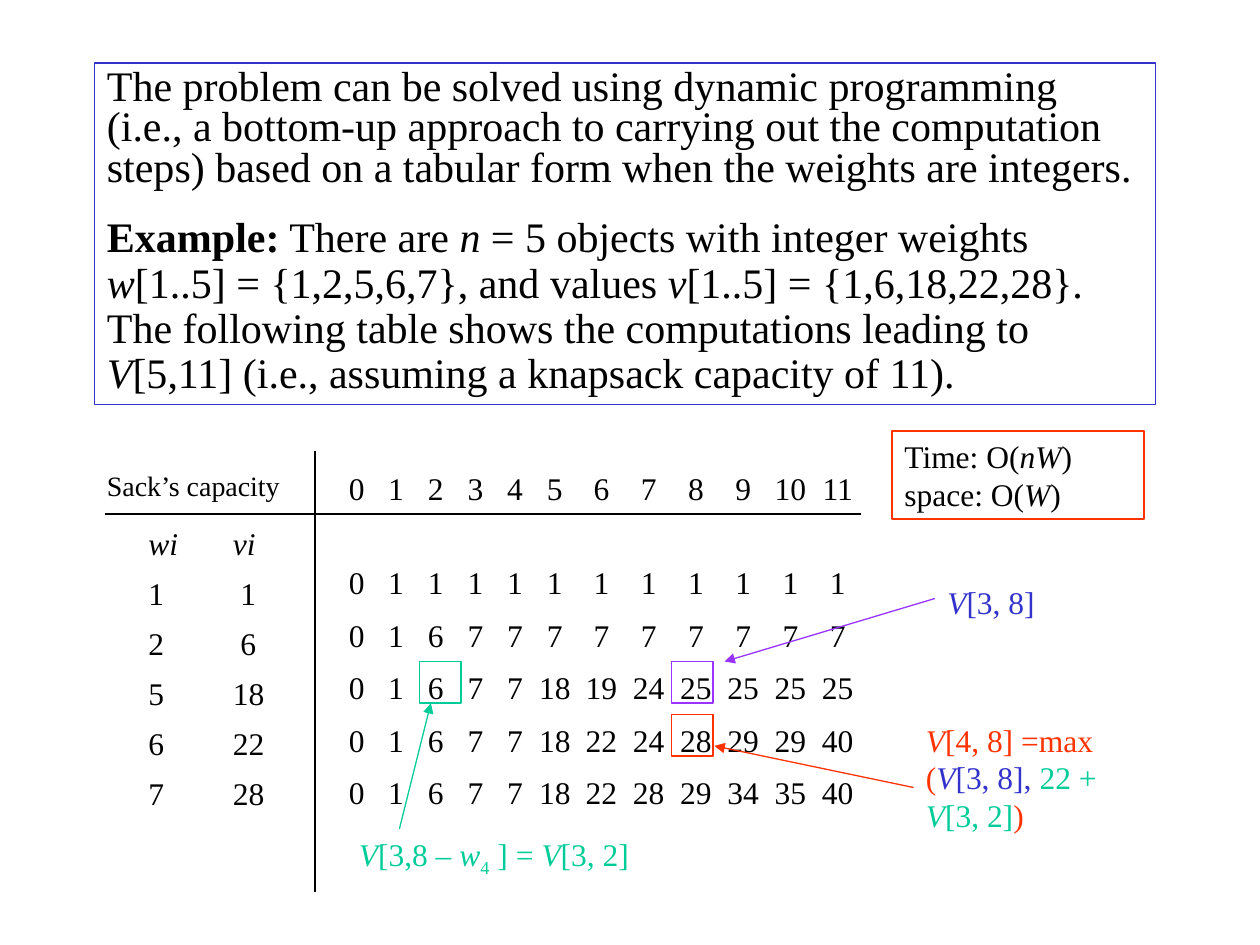
from dataclasses import dataclass
from typing import NamedTuple

import lxml.etree
import pptx
import pptx.dml.color
import pptx.enum.shapes
import pptx.enum.text
import pptx.oxml.ns
import pptx.util

Inches = pptx.util.Inches
qn = pptx.oxml.ns.qn


@dataclass(frozen=True)
class Theme:
    font: str = "Times New Roman"
    black: str = "000000"
    blue: str = "3333CC"
    red: str = "FF3300"
    purple: str = "9933FF"
    green: str = "00CC99"
    intro: float = 24
    body: float = 18
    label: float = 16
    line: float = 0.75


class Run(NamedTuple):
    text: str
    color: str = ""
    italic: bool = False
    bold: bool = False
    subscript: bool = False


class Paragraph(NamedTuple):
    runs: list[Run]
    spacing: float = 1.0
    indent: float = 0


class Box(NamedTuple):
    left: float
    top: float
    width: float
    height: float


class Line(NamedTuple):
    start: tuple[float, float]
    end: tuple[float, float]
    color: str
    arrow: bool = False


THEME = Theme()


def rgb(color: str):
    return pptx.dml.color.RGBColor.from_string(color)


def italic(text: str, color: str = "") -> Run:
    return Run(text, color, italic=True)


def write_text(shape, paragraphs: list[Paragraph], *, size: float = THEME.body,
               color: str = THEME.black, before: float = 11.2, stops: tuple = ()) -> None:
    frame = shape.text_frame
    frame.word_wrap = True
    frame.auto_size = pptx.enum.text.MSO_AUTO_SIZE.SHAPE_TO_FIT_TEXT
    frame.vertical_anchor = pptx.enum.text.MSO_ANCHOR.TOP
    for index, content in enumerate(paragraphs):
        paragraph = frame.add_paragraph() if index else frame.paragraphs[0]
        paragraph.alignment = pptx.enum.text.PP_ALIGN.LEFT
        paragraph.line_spacing = content.spacing
        paragraph.space_before = pptx.util.Pt(before)
        properties = paragraph._p.get_or_add_pPr()
        if content.indent:
            properties.set("marL", str(Inches(content.indent)))
        if stops:
            tabs = lxml.etree.SubElement(properties, qn("a:tabLst"))
            for stop in stops:
                lxml.etree.SubElement(tabs, qn("a:tab"), pos=str(Inches(stop)), algn="ctr")
        for part in content.runs:
            run = paragraph.add_run()
            run.text = part.text
            run.font.name = THEME.font
            run.font.size = pptx.util.Pt(size)
            run.font.bold = part.bold
            run.font.italic = part.italic
            run.font.color.rgb = rgb(part.color or color)
            if part.subscript:
                run._r.get_or_add_rPr().set("baseline", "-25000")


def add_text(slide, box: Box, paragraphs: list[Paragraph], **text_format) -> None:
    label = slide.shapes.add_textbox(*map(Inches, box))
    write_text(label, paragraphs, **text_format)


def add_frame(slide, box: Box, color: str):
    frame = slide.shapes.add_shape(pptx.enum.shapes.MSO_SHAPE.RECTANGLE, *map(Inches, box))
    frame.shadow.inherit = False
    frame.fill.background()
    frame.line.color.rgb = rgb(color)
    frame.line.width = pptx.util.Pt(THEME.line)
    return frame


def add_line(slide, line: Line) -> None:
    connector = slide.shapes.add_connector(
        pptx.enum.shapes.MSO_CONNECTOR.STRAIGHT, *map(Inches, line.start + line.end))
    connector.line.color.rgb = rgb(line.color)
    connector.line.width = pptx.util.Pt(THEME.line)
    if line.arrow:
        lxml.etree.SubElement(connector.line._get_or_add_ln(), qn("a:tailEnd"), type="triangle")
    lxml.etree.SubElement(connector._element.spPr, qn("a:effectLst"))


INTRO = [
    Paragraph([Run("The problem can be solved using dynamic programming (i.e., a bottom-up "
                   "approach to carrying out the computation steps) based on a tabular form "
                   "when the weights are integers.")], 0.8),
    Paragraph([
        Run("Example:", bold=True), Run(" There are "), italic("n"),
        Run(" = 5 objects with integer weights "), italic("w"),
        Run("[1..5] = {1,2,5,6,7}, and values "), italic("v"),
        Run("[1..5] = {1,6,18,22,28}. The following table shows the computations leading to "),
        italic("V"), Run("[5,11] (i.e., assuming a knapsack capacity of 11).")], 0.9),
]
COMPLEXITY = [Paragraph([Run("Time: O("), italic("nW"), Run(") space: O("),
                         italic("W"), Run(")")])]
OBJECTS = {
    "wi": (1.08, 0.5, (1, 2, 5, 6, 7)),
    "vi": (1.75, 0.58, (1, 6, 18, 22, 28)),
}
CAPACITIES = tuple(range(12))
VALUES = [
    (0,) + (1,) * 11,
    (0, 1, 6) + (7,) * 9,
    (0, 1, 6, 7, 7, 18, 19, 24, 25, 25, 25, 25),
    (0, 1, 6, 7, 7, 18, 22, 24, 28, 29, 29, 40),
    (0, 1, 6, 7, 7, 18, 22, 28, 29, 34, 35, 40),
]
ROW_STEP = 5 / 12
COLUMN_STOPS = tuple(0.06 + 0.315 * k if k <= 5 else 1.63 + 0.375 * (k - 5)
                     for k in CAPACITIES[1:])
HIGHLIGHTS = [
    (5.33, 5.67, THEME.red),
    (5.33, 5.25, THEME.purple),
    (3.33, 5.25, THEME.green),
]
LINES = [
    Line((0.83, 4.08), (6.83, 4.08), THEME.black),
    Line((2.5, 3.58), (2.5, 7.08), THEME.black),
    Line((3.17, 6.58), (3.42, 5.58), THEME.green, True),
    Line((7.42, 4.75), (5.75, 5.25), THEME.purple, True),
    Line((7.25, 6.25), (5.67, 5.92), THEME.red, True),
]
CALLOUTS = [
    (Box(2.75, 6.58, 2.5, 0.44), THEME.green,
     [italic("V"), Run("[3,8 – "), italic("w"), Run("4", subscript=True),
      Run(" ] = "), italic("V"), Run("[3, 2]")]),
    (Box(7.42, 4.58, 1.83, 0.4), THEME.blue, [italic("V"), Run("[3, 8]")]),
    (Box(7.25, 5.67, 2, 1), THEME.red,
     [italic("V"), Run("[4, 8] =max ("), italic("V", THEME.blue),
      Run("[3, 8], ", THEME.blue), Run("22 + ", THEME.green),
      italic("V", THEME.green), Run("[3, 2]", THEME.green), Run(")")]),
]


def main() -> None:
    deck = pptx.Presentation()
    deck.slide_width, deck.slide_height = Inches(10), Inches(7.5)
    slide = deck.slides.add_slide(deck.slide_layouts[6])

    intro = add_frame(slide, Box(0.75, 0.5, 8.42, 2.71), THEME.blue)
    write_text(intro, INTRO, size=THEME.intro, before=15)

    add_text(slide, Box(0.75, 3.67, 1.75, 0.37), [Paragraph([Run("Sack’s capacity")])],
             size=THEME.label, before=10)
    for heading, (left, width, numbers) in OBJECTS.items():
        entries = [Paragraph([italic(heading)], 0.8)]
        for number in numbers:
            indent = 0.06 if heading == "vi" and number < 10 else 0
            entries.append(Paragraph([Run(str(number))], 0.8, indent))
        add_text(slide, Box(left, 4.17, width, 2.4), entries)

    row_tops = [3.67] + [4.42 + ROW_STEP * index for index in range(len(VALUES))]
    for top, numbers in zip(row_tops, [CAPACITIES, *VALUES]):
        add_text(slide, Box(2.67, top, 4.5, 0.4),
                 [Paragraph([Run("\t".join(map(str, numbers)))])], stops=COLUMN_STOPS)

    for left, top, color in HIGHLIGHTS:
        add_frame(slide, Box(left, top, 0.33, 0.33), color)
    for line in LINES:
        add_line(slide, line)
    for box, color, runs in CALLOUTS:
        add_text(slide, box, [Paragraph(runs)], color=color)
    write_text(add_frame(slide, Box(7.08, 3.42, 2, 0.7), THEME.red), COMPLEXITY)

    deck.save("out.pptx")


if __name__ == "__main__":
    main()
